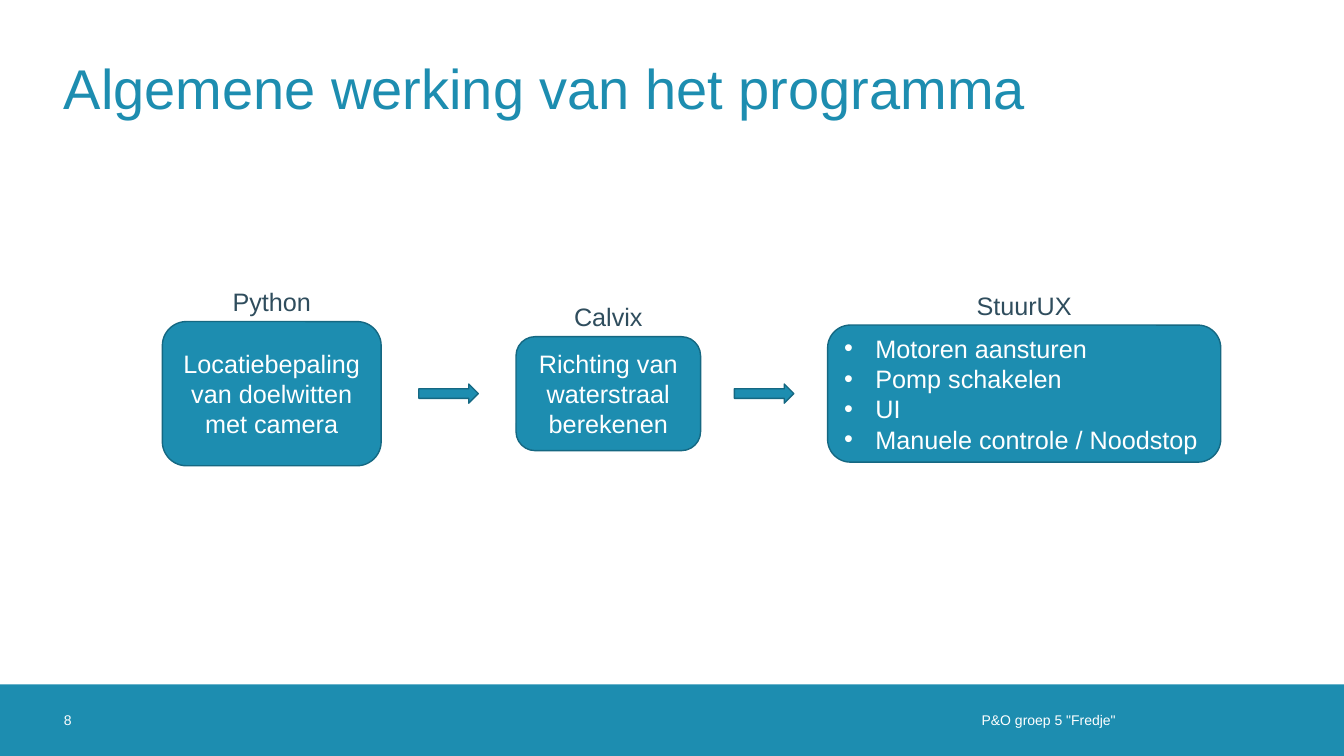
from dataclasses import dataclass

from lxml import etree
from pptx import Presentation, util as u
from pptx.dml.color import RGBColor
from pptx.enum import shapes, text
from pptx.oxml.ns import qn


@dataclass(frozen=True)
class Theme:
    font: str = "Arial"
    accent: str = "1D8DB0"
    edge: str = "156882"
    light: str = "FFFFFF"
    dark: str = "2F4D5D"
    title: int = 40
    body: int = 18
    footer: int = 10


T = Theme()
W, H = u.Inches(13.333), u.Inches(7.5)
LEFT, CENTER, RIGHT = text.PP_ALIGN.LEFT, text.PP_ALIGN.CENTER, text.PP_ALIGN.RIGHT
INDENT = u.Inches(0.31)

FLOW = (0, 52.07, 100, 0)
LABEL_H = 5.33
ARROW_W, ARROW_H = 4.43, 2.53
STEPS = [
    ("Python", 12.08, 16.28, 19.07, ["Locatiebepaling van doelwitten met camera"]),
    ("Calvix", 38.4, 13.73, 15.07, ["Richting van waterstraal berekenen"]),
    ("StuurUX", 61.58, 29.25, 18.13,
     ["Motoren aansturen", "Pomp schakelen", "UI", "Manuele controle / Noodstop"]),
]


def place(box):
    x, y, w, h = box
    return [round(v * size / 100) for v, size in ((x, W), (y, H), (w, W), (h, H))]


def add_bullet(p):
    pPr = p._p.get_or_add_pPr()
    pPr.set("marL", str(INDENT))
    pPr.set("indent", str(-INDENT))
    etree.SubElement(pPr, qn("a:buFont"), typeface=T.font)
    etree.SubElement(pPr, qn("a:buChar"), char="•")


def write(sp, lines, size, color, align=LEFT, bullets=False):
    tf = sp.text_frame
    tf.word_wrap = True
    tf.vertical_anchor = text.MSO_ANCHOR.MIDDLE
    tf.text = "\n".join(lines)
    for p in tf.paragraphs:
        p.alignment = align
        if bullets:
            add_bullet(p)
        for r in p.runs:
            r.font.name = T.font
            r.font.size = u.Pt(size)
            r.font.color.rgb = RGBColor.from_string(color)


def add_text(s, box, line, size, color, align=LEFT, right_inset=0):
    sp = s.shapes.add_textbox(*place(box))
    tf = sp.text_frame
    tf.margin_left = tf.margin_top = tf.margin_bottom = 0
    tf.margin_right = u.Inches(right_inset)
    write(sp, [line], size, color, align)


def add_solid(s, kind, box, edged=True):
    sp = s.shapes.add_shape(kind, *place(box))
    sp.shadow.inherit = False
    sp.fill.solid()
    sp.fill.fore_color.rgb = RGBColor.from_string(T.accent)
    if edged:
        sp.line.color.rgb = RGBColor.from_string(T.edge)
        sp.line.width = u.Pt(1)
    else:
        sp.line.fill.background()
    return sp


def add_footer(s, box, number, group):
    x, y, w, h = box
    add_solid(s, shapes.MSO_SHAPE.RECTANGLE, box, edged=False)
    add_text(s, (x + w * 0.435, y, w * 0.41, h), group, T.footer, T.light, RIGHT, 0.2)
    add_text(s, (x + w * 0.0475, y, w * 0.05, h), number, T.footer, T.light)


def add_step(s, box, label, lines):
    x, y, w, h = box
    bullets = len(lines) > 1
    sp = add_solid(s, shapes.MSO_SHAPE.ROUNDED_RECTANGLE, box)
    write(sp, lines, T.body, T.light, LEFT if bullets else CENTER, bullets)
    add_text(s, (x, y - LABEL_H, w, LABEL_H), label, T.body, T.dark, CENTER)


def add_flow(s, box, steps):
    x, middle = box[:2]
    previous_end = None
    for label, left, w, h, lines in steps:
        start = x + left
        add_step(s, (start, middle - h / 2, w, h), label, lines)
        if previous_end is not None:
            arrow_x = (previous_end + start - ARROW_W) / 2
            add_solid(s, shapes.MSO_SHAPE.RIGHT_ARROW,
                      (arrow_x, middle - ARROW_H / 2, ARROW_W, ARROW_H))
        previous_end = start + w


def main():
    prs = Presentation()
    prs.slide_width, prs.slide_height = W, H
    s = prs.slides.add_slide(prs.slide_layouts[6])
    add_footer(s, (0, 90.53, 100, 9.47), "8", 'P&O groep 5 "Fredje"')
    add_text(s, (4.75, 3.07, 90.5, 16.8), "Algemene werking van het programma",
             T.title, T.accent)
    add_flow(s, FLOW, STEPS)
    prs.save("out.pptx")


if __name__ == "__main__":
    main()
